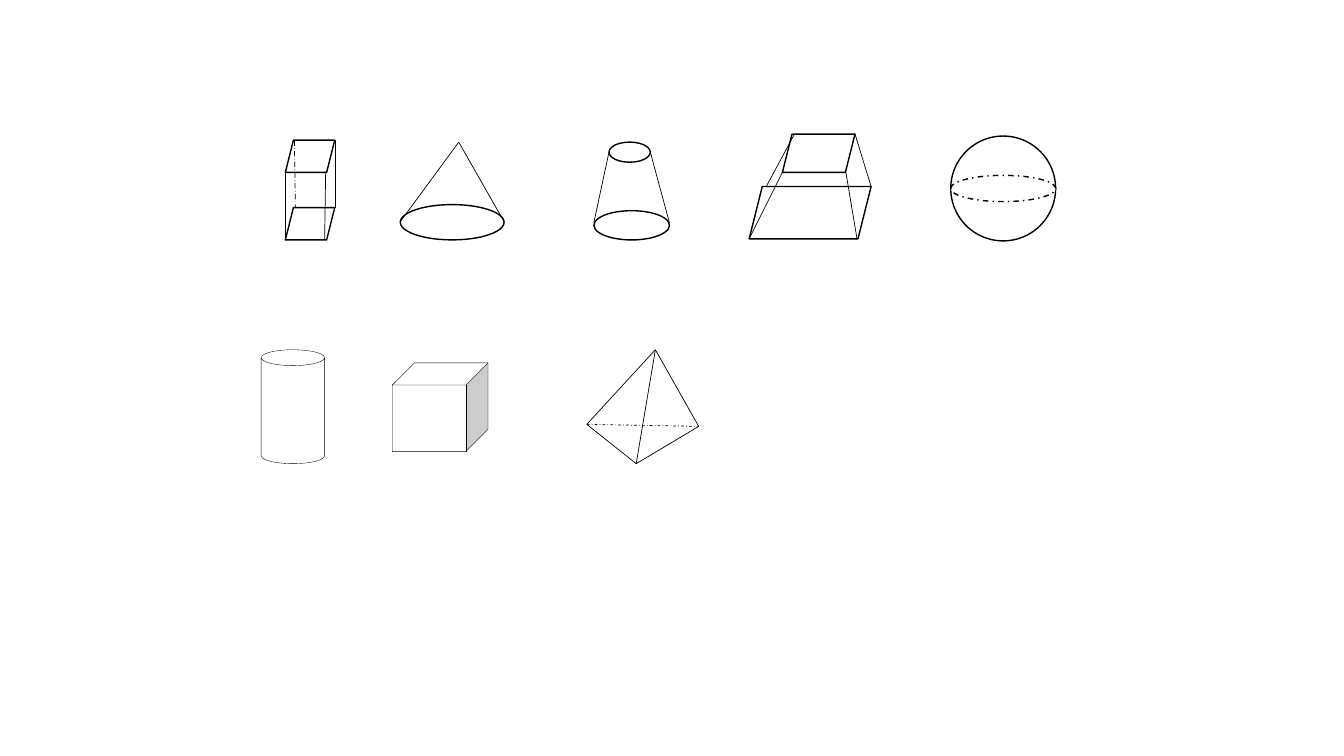
from pptx import Presentation
from pptx.dml.color import RGBColor
from pptx.enum.dml import MSO_LINE as Dash
from pptx.enum.shapes import MSO_CONNECTOR as Conn, MSO_SHAPE as Kind
from pptx.oxml.ns import qn
from pptx.util import Inches, Pt
from lxml import etree


def color(code):
    return RGBColor.from_string(code)


class Board:
    ink, paper = "000000", "FFFFFF"
    bold, thin, hair = 1, 0.5, 0.25

    def __init__(self, slide):
        self.slide = slide
        self.shapes = slide.shapes

    def group(self):
        """Send the elements that follow into a new group."""
        self.shapes = self.slide.shapes.add_group_shape().shapes

    def loose(self):
        """Send the elements that follow straight onto the slide."""
        self.shapes = self.slide.shapes

    def stroke(self, line, width, dash):
        line.color.rgb = color(self.ink)
        line.width = Pt(width)
        if dash:
            line.dash_style = dash

    def shape(self, kind, x, y, w, h, width=bold, dash=None):
        item = self.shapes.add_shape(kind, Inches(x), Inches(y), Inches(w), Inches(h))
        item.shadow.inherit = False
        item.fill.solid()
        item.fill.fore_color.rgb = color(self.paper)
        self.stroke(item.line, width, dash)

    def edge(self, start, end, dash=None):
        ends = [Inches(v) for v in (*start, *end)]
        item = self.shapes.add_connector(Conn.STRAIGHT, *ends)
        self.stroke(item.line, self.thin, dash)
        etree.SubElement(item._element.spPr, qn("a:effectLst"))

    def edges(self, *pairs):
        for start, end in pairs:
            self.edge(start, end)


def main():
    prs = Presentation()
    prs.slide_width, prs.slide_height = Inches(13.33), Inches(7.5)
    board = Board(prs.slides.add_slide(prs.slide_layouts[6]))

    # Truncated cone
    board.group()
    board.edge((6.04, 1.51), (5.89, 2.21))
    board.shape(Kind.OVAL, 6.04, 1.41, 0.41, 0.2)
    board.edge((6.45, 1.51), (6.64, 2.21))
    board.shape(Kind.OVAL, 5.89, 2.09, 0.75, 0.29)

    # Cone
    board.group()
    board.shape(Kind.OVAL, 3.97, 2.03, 1.03, 0.35)
    tip = (4.55, 1.41)
    board.edges((tip, (3.97, 2.2)), ((5, 2.2), tip))

    # Prism
    board.group()
    for top in (1.39, 2.06):
        board.shape(Kind.PARALLELOGRAM, 2.83, top, 0.49, 0.32)
    board.edges(
        ((2.83, 1.71), (2.83, 2.38)),
        ((3.23, 1.71), (3.22, 2.37)),
        ((3.33, 1.39), (3.33, 2.06)),
    )
    board.edge((2.92, 1.39), (2.93, 2.06), Dash.LONG_DASH_DOT)

    # Truncated pyramid
    board.group()
    board.shape(Kind.PARALLELOGRAM, 7.76, 1.33, 0.72, 0.38)
    board.shape(Kind.PARALLELOGRAM, 7.43, 1.85, 1.21, 0.52)
    board.edges(
        ((7.76, 1.71), (7.43, 2.37)),
        ((8.39, 1.71), (8.5, 2.37)),
        ((8.48, 1.33), (8.64, 1.85)),
        ((7.88, 1.33), (7.6, 1.85)),
    )

    # Sphere
    board.group()
    board.shape(Kind.OVAL, 9.43, 1.35, 1.04, 1.04)
    board.shape(Kind.OVAL, 9.43, 1.74, 1.04, 0.26, dash=Dash.DASH_DOT)

    # Cylinder and box
    board.loose()
    board.shape(Kind.CAN, 2.59, 3.47, 0.63, 1.13, board.hair)
    board.shape(Kind.CUBE, 3.89, 3.6, 0.95, 0.88, board.hair)

    # Tetrahedron
    board.group()
    peak, left, right, front = (6.5, 3.47), (5.82, 4.21), (6.93, 4.23), (6.31, 4.6)
    board.edges(
        (peak, left), (peak, right), (peak, front), (left, front), (right, front)
    )
    board.edge(left, right, Dash.DASH_DOT)

    prs.save("out.pptx")


if __name__ == "__main__":
    main()
